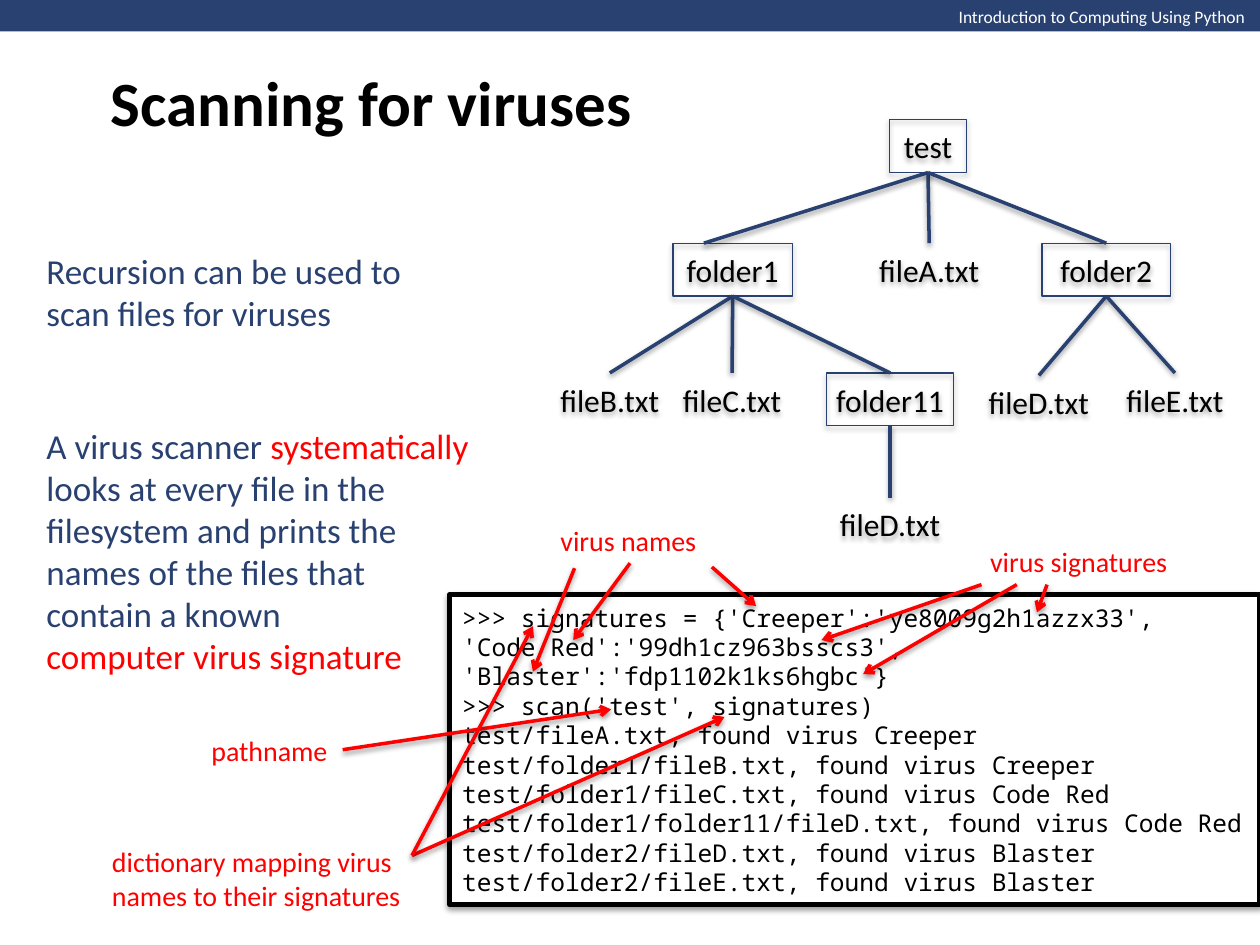
from dataclasses import dataclass
from lxml.etree import SubElement
from pptx import Presentation
from pptx.dml.color import RGBColor as Color
from pptx.enum.shapes import MSO_CONNECTOR as Connector, MSO_SHAPE as Shape
from pptx.enum.text import MSO_ANCHOR as Anchor, PP_ALIGN as Align
from pptx.oxml.ns import qn
from pptx.util import Inches, Pt


@dataclass(frozen=True)
class Theme:
    navy: Color = Color(0x29, 0x41, 0x71)
    red: Color = Color(0xFF, 0, 0)
    black: Color = Color(0, 0, 0)
    white: Color = Color(0xFF, 0xFF, 0xFF)
    sans: str = "Calibri"
    mono: str = "Noto Sans Mono"
    title: int = 36
    body: int = 20
    node: int = 18
    note: int = 16
    code: int = 14
    header: int = 10


theme = Theme()
WIDTH, HEIGHT = 10, 7.5
HEADER = "Introduction to Computing Using Python"
TITLE = "Scanning for viruses"

LEVELS = [0.95, 1.93, 2.96, 3.95]
NODE_HEIGHT = 0.42
# name: (label, level, left, width, boxed)
NODES = {
    "root": ("test", 0, 7.06, 0.61, True),
    "folder1": ("folder1", 1, 5.34, 0.95, True),
    "fileA": ("fileA.txt", 1, 6.87, 1.01, False),
    "folder2": ("folder2", 1, 8.27, 1.02, True),
    "fileB": ("fileB.txt", 2, 4.34, 1, False),
    "fileC": ("fileC.txt", 2, 5.31, 1, False),
    "folder11": ("folder11", 2, 6.56, 1.01, True),
    "fileD": ("fileD.txt", 2.02, 7.71, 1.07, False),
    "fileE": ("fileE.txt", 2, 8.78, 1.09, False),
    "deepD": ("fileD.txt", 3, 6.56, 1.01, False),
}
CHILDREN = {
    "root": ["folder1", "fileA", "folder2"],
    "folder1": ["fileB", "fileC", "folder11"],
    "folder2": ["fileD", "fileE"],
    "folder11": ["deepD"],
}
ENTRY_SHARE = {"folder1": 0.26}

CODE = [
    ">>> signatures = {'Creeper':'ye8009g2h1azzx33',",
    "'Code Red':'99dh1cz963bsscs3',",
    "'Blaster':'fdp1102k1ks6hgbc'}",
    ">>> scan('test', signatures)",
    "test/fileA.txt, found virus Creeper",
    "test/folder1/fileB.txt, found virus Creeper",
    "test/folder1/fileC.txt, found virus Code Red",
    "test/folder1/folder11/fileD.txt, found virus Code Red",
    "test/folder2/fileD.txt, found virus Blaster",
    "test/folder2/fileE.txt, found virus Blaster",
]
BODY = [
    ((0.27, 1.93, 3.46, 0.77), [[("Recursion can be used to scan files for viruses", theme.navy)]]),
    ((0.27, 3.31, 3.62, 2.12), [
        [("A virus scanner ", theme.navy), ("systematically ", theme.red),
         ("looks at every file in the filesystem and prints the names of the files that", theme.navy)],
        [("contain a known", theme.navy)],
        [("computer virus signature", theme.red)],
    ]),
]
NOTES = [
    ("pathname", (1.58, 5.77, 1.14, 0.37), False, [((2.72, 5.95), (4.85, 5.63))]),
    ("dictionary mapping virus names to their signatures", (0.79, 6.65, 2.88, 0.64), True,
     [((3.27, 6.79), (5.75, 5.69)), ((3.27, 6.79), (4.23, 4.97))]),
    ("virus names", (4.35, 4.1, 1.3, 0.37), False,
     [((5.65, 4.5), (6, 4.81)), ((5, 4.47), (4.55, 5.08)), ((4.56, 4.51), (4.23, 5.33))]),
    ("virus signatures", (7.76, 4.27, 1.63, 0.37), False,
     [((8.31, 4.64), (8.23, 4.86)), ((8.07, 4.64), (6.85, 5.35)), ((7.79, 4.64), (6.52, 5.08))]),
]


def inches(values):
    return [Inches(value) for value in values]


def cast_shadow(shape, opacity, distance):
    effects = SubElement(shape.element.spPr, qn("a:effectLst"))
    shadow = SubElement(effects, qn("a:outerShdw"), blurRad=str(Pt(3.1)),
                        dist=str(Pt(distance)), dir="5400000", rotWithShape="0")
    tint = SubElement(shadow, qn("a:srgbClr"), val=str(theme.black))
    SubElement(tint, qn("a:alpha"), val=str(opacity * 1000))


def add_rect(page, area, fill=None, line=None, weight=0.75):
    rect = page.shapes.add_shape(Shape.RECTANGLE, *inches(area))
    if fill is None:
        rect.fill.background()
    else:
        rect.fill.solid()
        rect.fill.fore_color.rgb = fill
    if line is None:
        rect.line.fill.background()
    else:
        rect.line.color.rgb = line
        rect.line.width = Pt(weight)
    return rect


def write(shape, lines, size, color=None, font=theme.sans, align=Align.LEFT,
          wrap=True, anchor=Anchor.MIDDLE, bold=False):
    frame = shape.text_frame
    frame.word_wrap = wrap
    frame.vertical_anchor = anchor
    for index, line in enumerate(lines):
        para = frame.add_paragraph() if index else frame.paragraphs[0]
        para.alignment = align
        para.font.size, para.font.name, para.font.bold = Pt(size), font, bold
        if color is not None:
            para.font.color.rgb = color
        for text, tint in [(line, None)] if isinstance(line, str) else line:
            span = para.add_run()
            span.text = text
            if tint is not None:
                span.font.color.rgb = tint


def add_line(page, start, end, color, arrow=False):
    line = page.shapes.add_connector(Connector.STRAIGHT, *inches(start + end))
    line.line.color.rgb = color
    line.line.width = Pt(2)
    if arrow:
        SubElement(line.element.spPr.find(qn("a:ln")), qn("a:tailEnd"), type="arrow")
    cast_shadow(line, 38, 1.6)


def level_top(level):
    row = int(level)
    return LEVELS[row] + (level - row)


def draw_tree(page):
    for label, level, left, width, boxed in NODES.values():
        node = add_rect(page, (left, level_top(level), width, NODE_HEIGHT),
                        line=theme.navy if boxed else None)
        cast_shadow(node, 35, 1.8)
        write(node, [label], theme.node, theme.black, align=Align.CENTER, wrap=False)
    for parent, children in CHILDREN.items():
        _, level, left, width, _ = NODES[parent]
        start = (left + width / 2, level_top(level) + NODE_HEIGHT)
        for child in children:
            _, level, left, width, _ = NODES[child]
            end = (left + width * ENTRY_SHARE.get(child, 0.5), level_top(level))
            add_line(page, start, end, theme.navy)


def main():
    deck = Presentation()
    deck.slide_width, deck.slide_height = inches((WIDTH, HEIGHT))
    page = deck.slides.add_slide(deck.slide_layouts[5])

    title = page.shapes.title
    title.left, title.top, title.width, title.height = inches((0.78, 0, 8.5, 1.61))
    write(title, [TITLE], theme.title, theme.black, bold=True)

    bar = add_rect(page, (0, 0, WIDTH, 0.25), fill=theme.navy)
    bar.shadow.inherit = False
    header = page.shapes.add_textbox(*inches((7.51, 0, 2.49, 0.27)))
    write(header, [HEADER], theme.header, theme.white, wrap=False, anchor=Anchor.TOP)

    draw_tree(page)

    console = add_rect(page, (3.57, 4.72, 6.43, 2.46), theme.white, theme.black, 3)
    cast_shadow(console, 38, 1.6)
    write(console, CODE, theme.code, theme.black, theme.mono)

    for area, lines in BODY:
        write(page.shapes.add_textbox(*inches(area)), lines, theme.body)
    for text, area, wrap, arrows in NOTES:
        write(page.shapes.add_textbox(*inches(area)), [text], theme.note, theme.red, wrap=wrap)
        for start, end in arrows:
            add_line(page, start, end, theme.red, arrow=True)

    deck.save("out.pptx")


if __name__ == "__main__":
    main()
